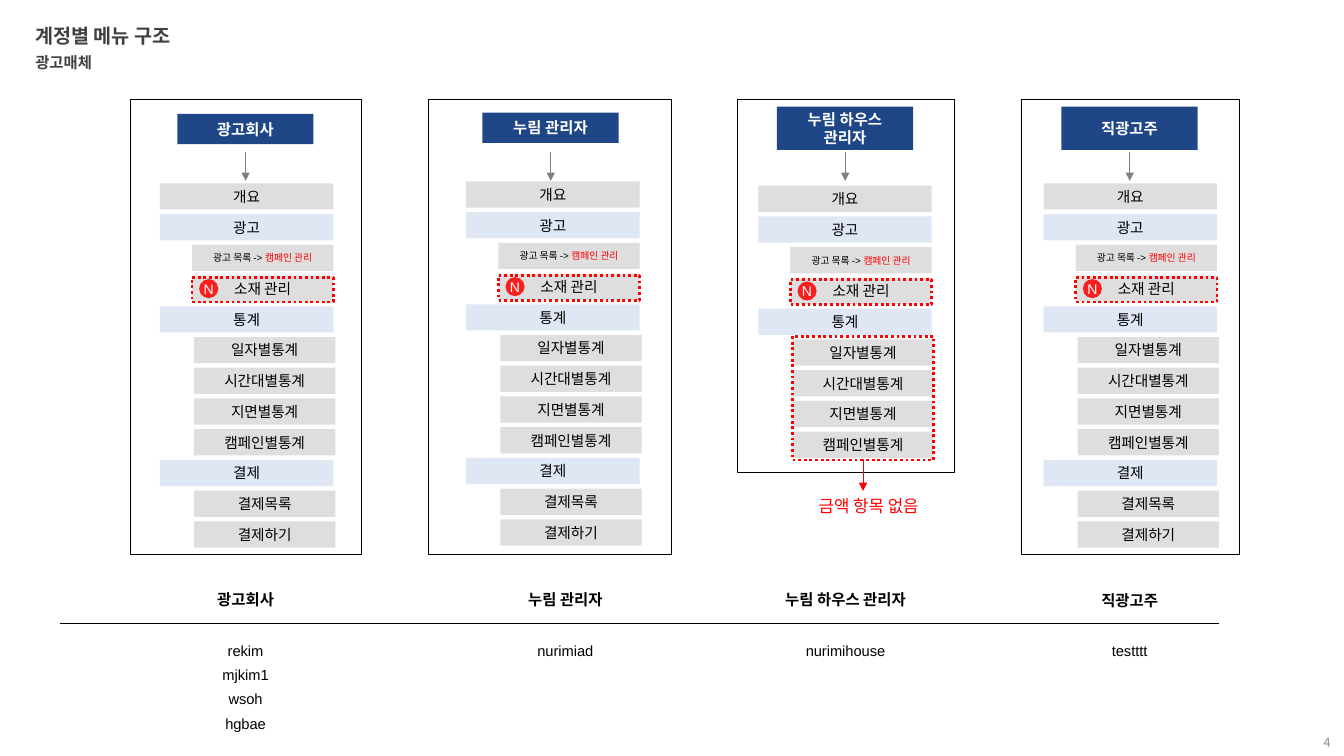
from lxml.etree import SubElement
from pptx import Presentation
from pptx.dml.color import RGBColor
from pptx.enum.dml import MSO_LINE
from pptx.enum.shapes import MSO_CONNECTOR, MSO_SHAPE
from pptx.enum.text import MSO_ANCHOR, PP_ALIGN
from pptx.oxml.ns import qn
from pptx.util import Cm, Pt

NAVY, GRAY, PALE_BLUE, RED = "1F4787", "D9D9D9", "DAE3F3", "FF0000"
BLACK, WHITE, DARK, ARROW_GRAY = "000000", "FFFFFF", "404040", "808080"
KOREAN = "Noto Sans CJK KR"
ALPHA = 86000

# Menu geometry in cm
WIDE, NARROW, ROW_HEIGHT = 4.37, 3.56, 0.66
ROW_PITCH = 8.52 / 11
CHILD_INDENT, AD_INDENT = 0.86, 0.81

# Menu rows: label and level
MENU = [
    ("개요", "top"), ("광고", "section"), ("광고 목록 -> ", "ad"), ("소재 관리", "ad"),
    ("통계", "section"), ("일자별통계", "child"), ("시간대별통계", "child"),
    ("지면별통계", "child"), ("캠페인별통계", "child"),
    ("결제", "section"), ("결제목록", "child"), ("결제하기", "child"),
]
NEW_ROW, FIRST_STATISTIC, HOUSE_ROWS = 3, 5, 9
LEVELS = {
    "top": (0, WIDE, GRAY), "section": (0, WIDE, PALE_BLUE),
    "child": (CHILD_INDENT, NARROW, GRAY), "ad": (AD_INDENT, NARROW, GRAY),
}

FRAME_TOP = 2.49
# Account columns: frame left, width, height; header axis, top, height; menu left, top
COLUMNS = [
    dict(header=["광고회사"], frame=(3.28, 5.82, 11.48), head=(6.19, 2.87, 0.76),
         menu=(4.03, 4.62), rows=12),
    dict(header=["누림 관리자"], frame=(10.8, 6.12, 11.48), head=(13.88, 2.84, 0.76),
         menu=(11.75, 4.57), rows=12),
    dict(header=["누림 하우스", "관리자"], frame=(18.57, 5.49, 9.4), head=(21.3, 2.69, 1.09),
         menu=(19.11, 4.68), rows=HOUSE_ROWS),
    dict(header=["직광고주"], frame=(25.73, 5.49, 11.48), head=(28.47, 2.69, 1.09),
         menu=(26.3, 4.62), rows=12),
]
# Account lists: axis, top, heading, account names
ACCOUNTS = [
    (6.19, 14.81, "광고회사", ["rekim", "mjkim1", "wsoh", "hgbae"]),
    (14.25, 14.81, "누림 관리자", ["nurimiad"]),
    (21.31, 14.81, "누림 하우스 관리자", ["nurimihouse"]),
    (28.47, 14.83, "직광고주", ["testttt"]),
]


def color(value):
    return RGBColor.from_string(value)


def set_attributes(target, values):
    for name, value in values.items():
        setattr(target, name, value)


def add_run(paragraph, text, size, hex_color, font="Arial", bold=False):
    run = paragraph.add_run()
    run.text = text
    set_attributes(run.font, {"size": Pt(size), "name": font, "bold": bold})
    run.font.color.rgb = color(hex_color)


def add_box(slide, box, kind=MSO_SHAPE.RECTANGLE, fill=None, alpha=None, line=None, width=0.25):
    shape = slide.shapes.add_shape(kind, *map(Cm, box))
    shape.shadow.inherit = False
    if kind == MSO_SHAPE.ROUNDED_RECTANGLE:
        shape.adjustments[0] = 0
    if fill:
        shape.fill.solid()
        shape.fill.fore_color.rgb = color(fill)
        if alpha:
            tint = shape.fill._xPr.find(".//" + qn("a:srgbClr"))
            SubElement(tint, qn("a:alpha")).set("val", str(alpha))
    else:
        shape.fill.background()
    if line:
        shape.line.color.rgb = color(line)
        shape.line.width = Pt(width)
    else:
        shape.line.fill.background()
    return shape


def add_label(slide, box, lines, size, hex_color, fill, alpha=None, bold=False,
              kind=MSO_SHAPE.ROUNDED_RECTANGLE, wrap=True):
    shape = add_box(slide, box, kind, fill, alpha)
    frame = shape.text_frame
    set_attributes(frame, {"word_wrap": wrap, "vertical_anchor": MSO_ANCHOR.MIDDLE})
    for index, text in enumerate(lines):
        paragraph = frame.add_paragraph() if index else frame.paragraphs[0]
        paragraph.alignment = PP_ALIGN.CENTER
        add_run(paragraph, text, size, hex_color, bold=bold)
    return shape


def add_dotted_box(slide, box):
    shape = add_box(slide, box, line=RED, width=2)
    shape.line.dash_style = MSO_LINE.ROUND_DOT
    return shape


def add_line(slide, start, end, hex_color, width, arrow=False):
    line = slide.shapes.add_connector(MSO_CONNECTOR.STRAIGHT, *map(Cm, start + end))
    line.line.color.rgb = color(hex_color)
    line.line.width = Pt(width)
    if arrow:
        SubElement(line.line._get_or_add_ln(), qn("a:tailEnd")).set("type", "triangle")
    SubElement(line._element.spPr, qn("a:effectLst"))
    return line


def add_text(slide, box, text, size, hex_color, bold=False, inset=True,
             align=PP_ALIGN.LEFT, anchor=MSO_ANCHOR.TOP):
    frame = slide.shapes.add_textbox(*map(Cm, box)).text_frame
    set_attributes(frame, {"word_wrap": True, "vertical_anchor": anchor})
    if not inset:
        sides = ("left", "top", "right", "bottom")
        set_attributes(frame, {f"margin_{side}": 0 for side in sides})
    frame.paragraphs[0].alignment = align
    add_run(frame.paragraphs[0], text, size, hex_color, KOREAN, bold)


def add_menu(slide, left, top, row_count):
    for index, (text, level) in enumerate(MENU[:row_count]):
        indent, width, fill = LEVELS[level]
        x, y = left + indent, top + index * ROW_PITCH
        renamed = text.endswith("-> ")
        row = add_label(slide, (x, y, width, ROW_HEIGHT), [text],
                        7 if renamed else 10.5, BLACK, fill, ALPHA)
        if renamed:
            add_run(row.text_frame.paragraphs[0], "캠페인 관리", 7, RED)
        # Mark the new menu item
        if index == NEW_ROW:
            add_dotted_box(slide, (x, y + 0.04, width, 0.63))
            add_label(slide, (x + 0.18, y + 0.09, 0.48, 0.48), ["N"], 10, WHITE, RED,
                      ALPHA, kind=MSO_SHAPE.OVAL, wrap=False)


def add_column(slide, header, frame, head, menu, rows):
    left, width, height = frame
    add_box(slide, (left, FRAME_TOP, width, height), line=BLACK)
    axis, head_top, head_height = head
    add_label(slide, (axis - 1.72, head_top, 3.43, head_height), header, 11, WHITE, NAVY,
              bold=True)
    add_line(slide, (axis, 3.84), (axis, 4.56), ARROW_GRAY, 1, arrow=True)
    add_menu(slide, *menu, rows)


def add_house_note(slide, left, top):
    x, y = left + CHILD_INDENT, top + FIRST_STATISTIC * ROW_PITCH - 0.08
    statistics = add_dotted_box(slide, (x, y, NARROW, 3.12))
    middle, bottom = x + NARROW / 2, y + 3.12
    arrow = add_line(slide, (middle, bottom), (middle, 12.37), RED, 0.5, arrow=True)
    arrow.begin_connect(statistics, 2)
    add_text(slide, (x + 0.41, 12.37, 4.78, 0.76), "금액 항목 없음", 12, RED)


def add_accounts(slide, axis, top, heading, names):
    box = slide.shapes.add_textbox(Cm(axis - 2.1), Cm(top), Cm(4.2), Cm(1.1 + 0.7 * len(names)))
    frame = box.text_frame
    frame.word_wrap = True
    for index, text in enumerate([heading] + names):
        paragraph = frame.add_paragraph() if index else frame.paragraphs[0]
        space = 24.4 if index == 1 else 6.1
        set_attributes(paragraph, {"alignment": PP_ALIGN.CENTER, "line_spacing": 0.9,
                                   "space_before": Pt(space)})
        add_run(paragraph, text, 10.5 if index else 11, BLACK, bold=index == 0)


def add_titles(slide):
    add_text(slide, (0.89, 0.61, 3.91, 0.56), "계정별 메뉴 구조", 14, DARK, True, inset=False)
    add_text(slide, (0.89, 1.35, 7.7, 0.66), "광고매체", 11, DARK, True, inset=False)
    add_text(slide, (31.8, 18.19, 1.98, 1.02), "4", 9, "8C8C8C",
             align=PP_ALIGN.RIGHT, anchor=MSO_ANCHOR.MIDDLE)


def main():
    presentation = Presentation()
    set_attributes(presentation, {"slide_width": Cm(33.87), "slide_height": Cm(19.05)})
    slide = presentation.slides.add_slide(presentation.slide_layouts[6])
    add_titles(slide)
    for column in COLUMNS:
        add_column(slide, **column)
        if column["rows"] == HOUSE_ROWS:
            add_house_note(slide, *column["menu"])
    add_line(slide, (1.5, 15.72), (30.71, 15.72), BLACK, 0.5)
    for account in ACCOUNTS:
        add_accounts(slide, *account)
    presentation.save("out.pptx")


if __name__ == "__main__":
    main()
